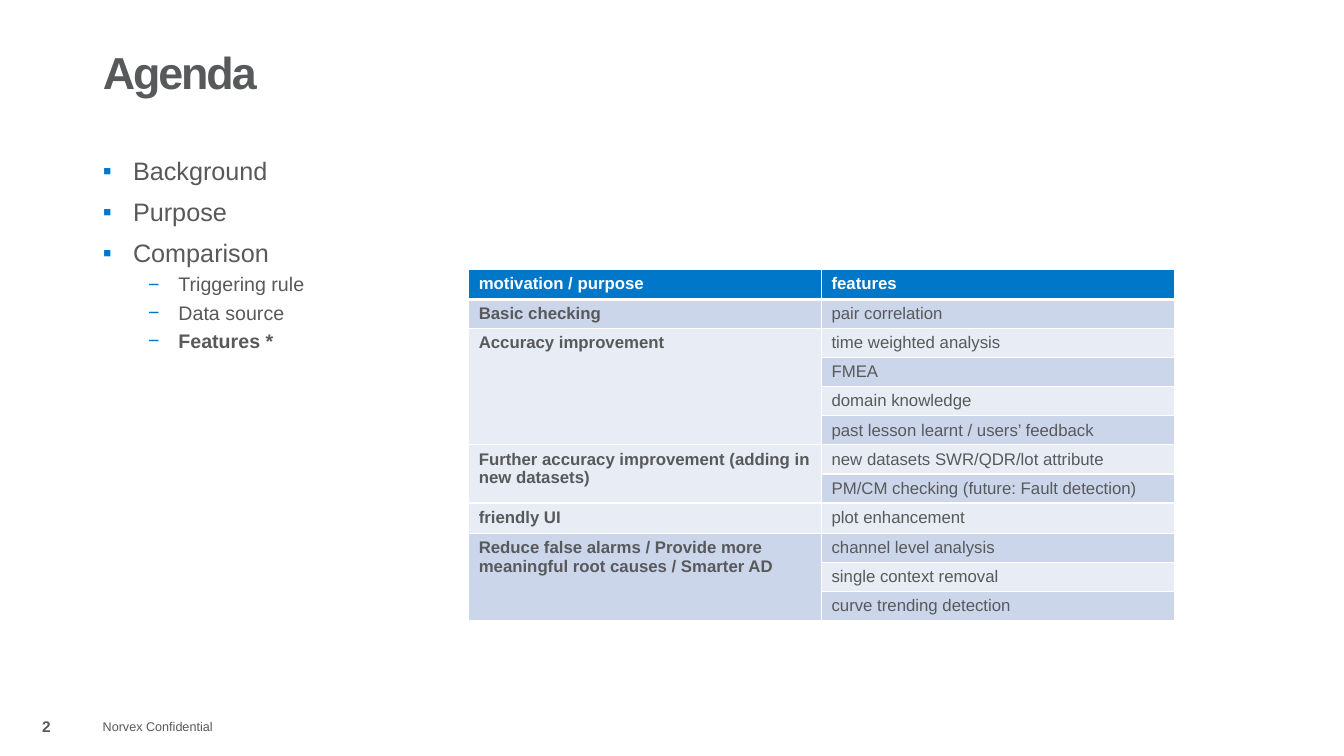
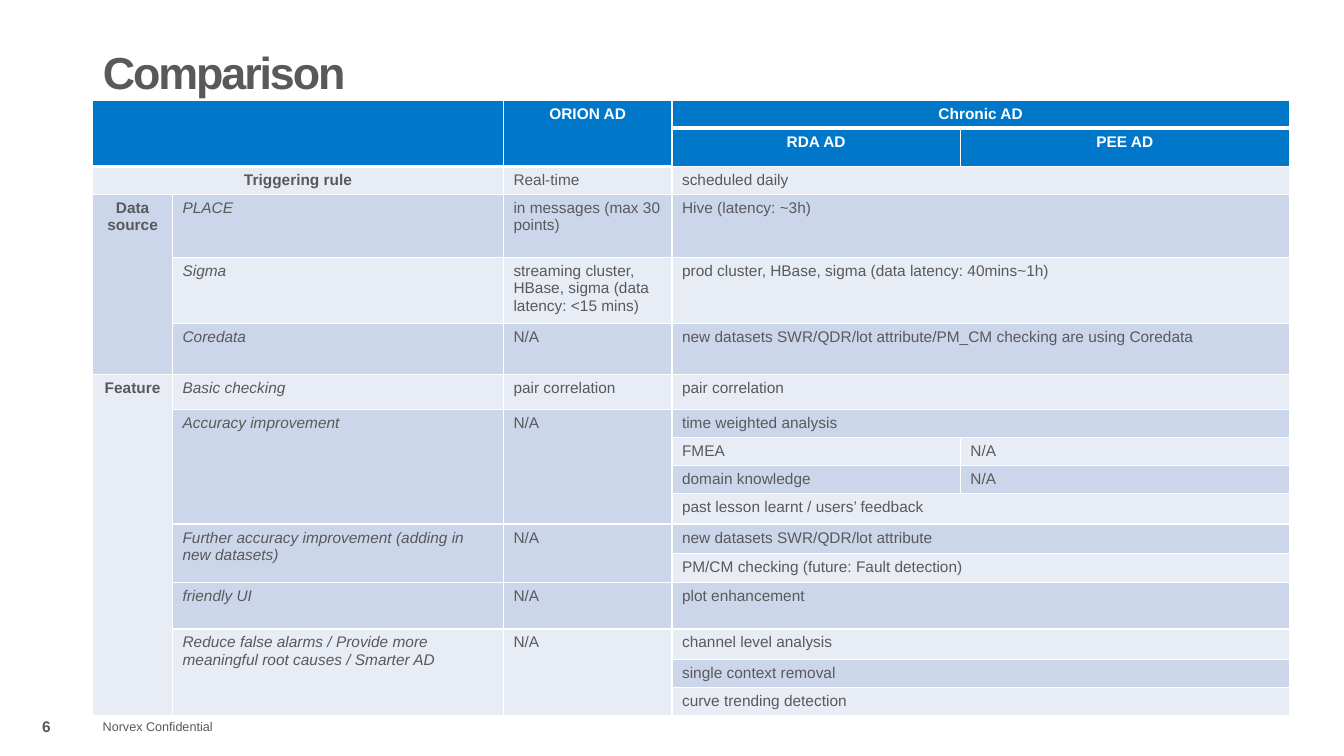
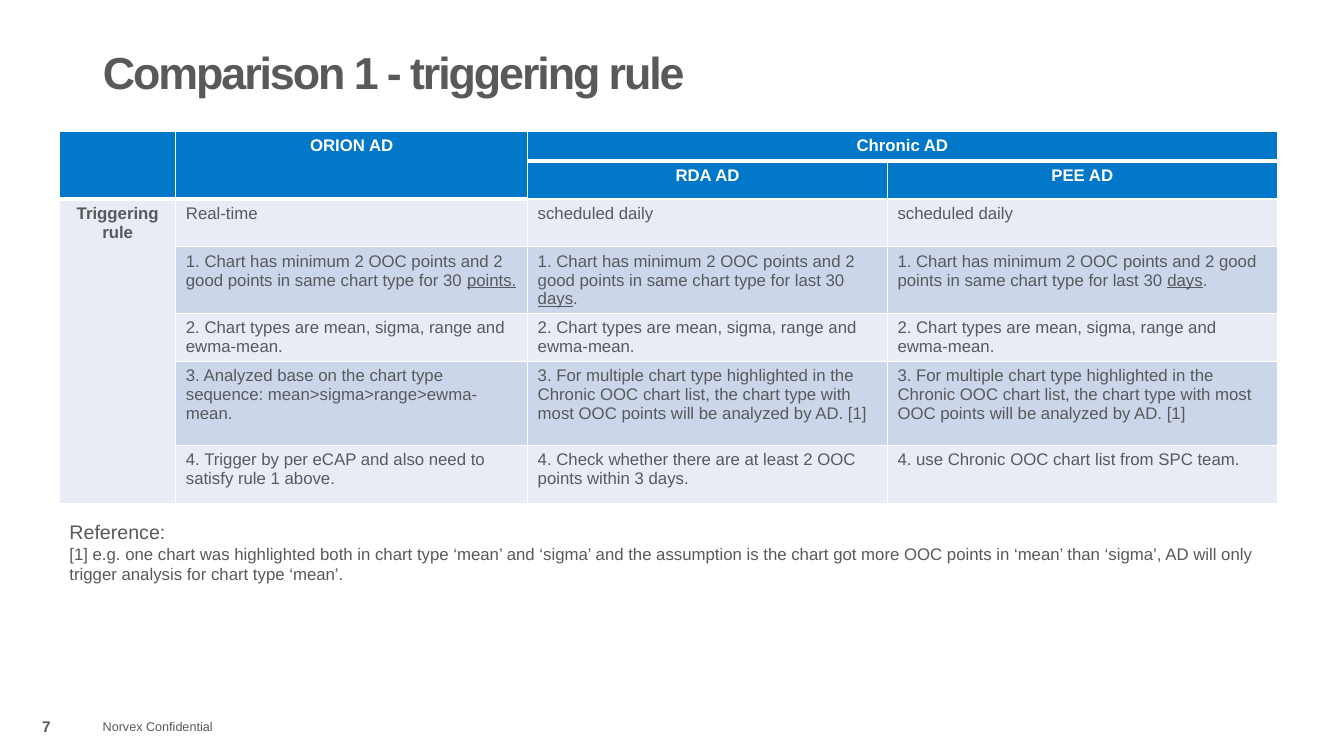
"""Build three slides on anomaly detection with shared title, footer and tables."""
from lxml import etree
from pptx import Presentation
from pptx.dml.color import RGBColor
from pptx.enum.text import MSO_ANCHOR, MSO_AUTO_SIZE, PP_ALIGN
from pptx.oxml.ns import qn
from pptx.util import Pt

LEFT, MID = PP_ALIGN.LEFT, PP_ALIGN.CENTER
TOP, CORE = MSO_ANCHOR.TOP, MSO_ANCHOR.MIDDLE
FIXED = MSO_AUTO_SIZE.NONE
HUES = {"text": "58595B", "blue": "0077C8", "dark": "CCD6EB", "light": "E7ECF5", "white": "FFFFFF"}
EDGE, WIDE = 66.24, 828
FOOT = 504.72


class Deck:
    """Hold the style and the current slide."""

    def __init__(self):
        self.prs = Presentation()
        self.prs.slide_width, self.prs.slide_height = Pt(960), Pt(540)
        self.slide = None

    def put(self, item, values):
        for name, value in values.items():
            setattr(item, name, value)

    def run(self, para, text, size, hue="text", **more):
        run = para.add_run()
        run.text = text
        self.put(run.font, {"name": "Arial", "size": Pt(size), "bold": False, **more})
        run.font.color.rgb = RGBColor.from_string(HUES[hue])
        return run

    def place(self, shape, box, anchor=TOP):
        names = ("left", "top", "width", "height")
        self.put(shape, {name: Pt(value) for name, value in zip(names, box)})
        frame = shape.text_frame
        self.put(frame, {"word_wrap": True, "auto_size": FIXED, "vertical_anchor": anchor})
        return frame

    def page(self, title, num, layout=5):
        self.slide = self.prs.slides.add_slide(self.prs.slide_layouts[layout])
        frame = self.place(self.slide.shapes.title, (EDGE, 28.8, WIDE, 49.68), CORE)
        para = frame.paragraphs[0]
        self.put(para, {"alignment": LEFT, "line_spacing": 0.9})
        run = self.run(para, title, 32, bold=True)
        run.font._element.set("spc", "-150")
        self.note((EDGE, FOOT, 109.44, 28.8), [("Norvex Confidential", 9)], CORE)
        self.note((0, FOOT, EDGE, 28.8), [(str(num), 11)], CORE, MID, bold=True)

    def note(self, box, lines, anchor=TOP, align=LEFT, **more):
        shape = self.slide.shapes.add_textbox(0, 0, 0, 0)
        frame = self.place(shape, box, anchor)
        for i, (text, size) in enumerate(lines):
            para = frame.add_paragraph() if i else frame.paragraphs[0]
            para.alignment = align
            self.run(para, text, size, **more)

    def list(self, box, items):
        frame = self.place(self.slide.placeholders[1], box)
        looks = (("▪", 21.6, 18, 10), ("−", 54, 14, 5))
        for i, (level, text, bold) in enumerate(items):
            mark, inset, size, gap = looks[level]
            para = frame.add_paragraph() if i else frame.paragraphs[0]
            self.put(para, {"level": level, "alignment": LEFT, "line_spacing": 0.9,
                            "space_before": Pt(gap if i else 0)})
            props = para._p.get_or_add_pPr()
            props.set("marL", str(Pt(inset)))
            props.set("indent", str(Pt(-21.6)))
            tint = etree.SubElement(props, qn("a:buClr"))
            etree.SubElement(tint, qn("a:srgbClr"), val=HUES["blue"])
            etree.SubElement(props, qn("a:buFont"), typeface="Arial")
            etree.SubElement(props, qn("a:buChar"), char=mark)
            self.run(para, text, size, bold=bold)

    def paint(self, cell, hue, base):
        props = cell._tc.get_or_add_tcPr()
        for side in "LRTB":
            width = base if side == "B" else 1
            line = etree.SubElement(props, qn("a:ln" + side), w=str(Pt(width)))
            fill = etree.SubElement(line, qn("a:solidFill"))
            etree.SubElement(fill, qn("a:srgbClr"), val=HUES["white"])
        cell.fill.solid()
        cell.fill.fore_color.rgb = RGBColor.from_string(HUES[hue])

    def table(self, spot, cols, tall, rows, size, heads=1, align=MID, slant=None):
        left, top = spot
        area = (left, top, sum(cols), sum(tall))
        grid = self.slide.shapes.add_table(len(rows), len(cols), *map(Pt, area)).table
        self.put(grid, {"first_row": False, "horz_banding": False})
        for col, width in zip(grid.columns, cols):
            col.width = Pt(width)
        for row, height in zip(grid.rows, tall):
            row.height = Pt(height)
        for r, row in enumerate(rows):
            for c, text in enumerate(row):
                if text in ("<", "^"):
                    continue
                right, low = c, r
                while right + 1 < len(cols) and row[right + 1] == "<":
                    right += 1
                while low + 1 < len(rows) and rows[low + 1][c] == "^":
                    low += 1
                head = r < heads
                hue = "blue" if head else "dark" if r % 2 else "light"
                for y in range(r, low + 1):
                    for x in range(c, right + 1):
                        self.paint(grid.cell(y, x), hue, 1 if r else 3)
                cell = grid.cell(r, c)
                if (low, right) != (r, c):
                    cell.merge(grid.cell(low, right))
                para = cell.text_frame.paragraphs[0]
                strong = head or c == 0
                para.alignment = align if strong else LEFT
                for k, part in enumerate(text.split("|")):
                    self.run(para, part, size, "white" if head else "text", bold=strong,
                             italic=not head and c == slant, underline=k % 2 == 1)


BASIC, BETTER = "Basic checking", "Accuracy improvement"
MORE = "Further accuracy improvement (adding in new datasets)"
EASY = "friendly UI"
SMART = "Reduce false alarms / Provide more meaningful root causes / Smarter AD"
PAIR, TIMED, RISK, KNOW = "pair correlation", "time weighted analysis", "FMEA", "domain knowledge"
PAST, SETS = "past lesson learnt / users’ feedback", "new datasets SWR/QDR/lot attribute"
CHECK, PLOT = "PM/CM checking (future: Fault detection)", "plot enhancement"
LEVEL, SINGLE, CURVE = "channel level analysis", "single context removal", "curve trending detection"
RULE, DAILY = "Triggering rule", "scheduled daily"
TYPES = "2. Chart types are mean, sigma, range and ewma-mean."
LAST = "1. Chart has minimum 2 OOC points and 2 good points in same chart type for last 30 |days|."
MOST = ("3. For multiple chart type highlighted in the Chronic OOC chart list, "
        "the chart type with most OOC points will be analyzed by AD. [1]")


def agenda(deck):
    deck.page("Agenda", 2, 1)
    deck.list((EDGE, 109.44, WIDE, 376.56), [
        (0, "Background", False), (0, "Purpose", False), (0, "Comparison", False),
        (1, RULE, False), (1, "Data source", False), (1, "Features *", True)])
    rows = [
        ["motivation / purpose", "features"],
        [BASIC, PAIR],
        [BETTER, TIMED], ["^", RISK], ["^", KNOW], ["^", PAST],
        [MORE, SETS], ["^", CHECK],
        [EASY, PLOT],
        [SMART, LEVEL], ["^", SINGLE], ["^", CURVE]]
    tall = [21.6] + [20.8] * 7 + [21.6] + [20.8] * 3
    deck.table((334.8, 192.24), [252, 252], tall, rows, 12, align=LEFT)


def compare(deck):
    deck.page("Comparison", 6)
    rows = [
        ["", "<", "ORION AD", "Chronic AD", "<"],
        ["^", "^", "^", "RDA AD", "PEE AD"],
        [RULE, "<", "Real-time", DAILY, "<"],
        ["Data source", "PLACE", "in messages (max 30 points)", "Hive (latency: ~3h)", "<"],
        ["^", "Sigma", "streaming cluster, HBase, sigma (data latency: <15 mins)",
         "prod cluster, HBase, sigma (data latency: 40mins~1h)", "<"],
        ["^", "Coredata", "N/A",
         "new datasets SWR/QDR/lot attribute/PM_CM checking are using Coredata", "<"],
        ["Feature", BASIC, PAIR, PAIR, "<"],
        ["^", BETTER, "N/A", TIMED, "<"],
        ["^", "^", "^", RISK, "N/A"],
        ["^", "^", "^", KNOW, "N/A"],
        ["^", "^", "^", PAST, "<"],
        ["^", MORE, "N/A", SETS, "<"],
        ["^", "^", "^", CHECK, "<"],
        ["^", EASY, "N/A", PLOT, "<"],
        ["^", SMART, "N/A", LEVEL, "<"],
        ["^", "^", "^", SINGLE, "<"],
        ["^", "^", "^", CURVE, "<"]]
    tall = [20] * 3 + [45.3, 46.8, 36.5, 25] + [20] * 3 + [22, 21, 21, 33, 22, 20, 20]
    cols = [57, 236.4, 120.4, 206, 235]
    deck.table((EDGE, 71.5), cols, tall, rows, 11, 2, slant=1)


def trigger(deck):
    deck.page("Comparison 1 - triggering rule", 7)
    rows = [
        ["", "ORION AD", "Chronic AD", "<"],
        ["^", "^", "RDA AD", "PEE AD"],
        [RULE, "Real-time", DAILY, DAILY],
        ["^", "1. Chart has minimum 2 OOC points and 2 good points in same chart type "
         "for 30 |points.", LAST, LAST],
        ["^", TYPES, TYPES, TYPES],
        ["^", "3. Analyzed base on the chart type sequence: mean>sigma>range>ewma-mean.",
         MOST, MOST],
        ["^", "4. Trigger by per eCAP and also need to satisfy rule 1 above.",
         "4. Check whether there are at least 2 OOC points within 3 days.",
         "4. use Chronic OOC chart list from SPC team."]]
    tall = [20.8, 20.8, 34.2, 47.2, 34.2, 60.2, 41.6]
    deck.table((42.6, 94), [83, 251.3, 257, 278.4], tall, rows, 12, 2)
    deck.note((42.48, 367.92, 869.76, 67.68), [
        ("Reference:", 14),
        ("[1] e.g. one chart was highlighted both in chart type ‘mean’ and ‘sigma’ and the "
         "assumption is the chart got more OOC points in ‘mean’ than ‘sigma’, AD will only "
         "trigger analysis for chart type ‘mean’.", 12)])


def main():
    deck = Deck()
    for build in (agenda, compare, trigger):
        build(deck)
    deck.prs.save("out.pptx")


if __name__ == "__main__":
    main()
